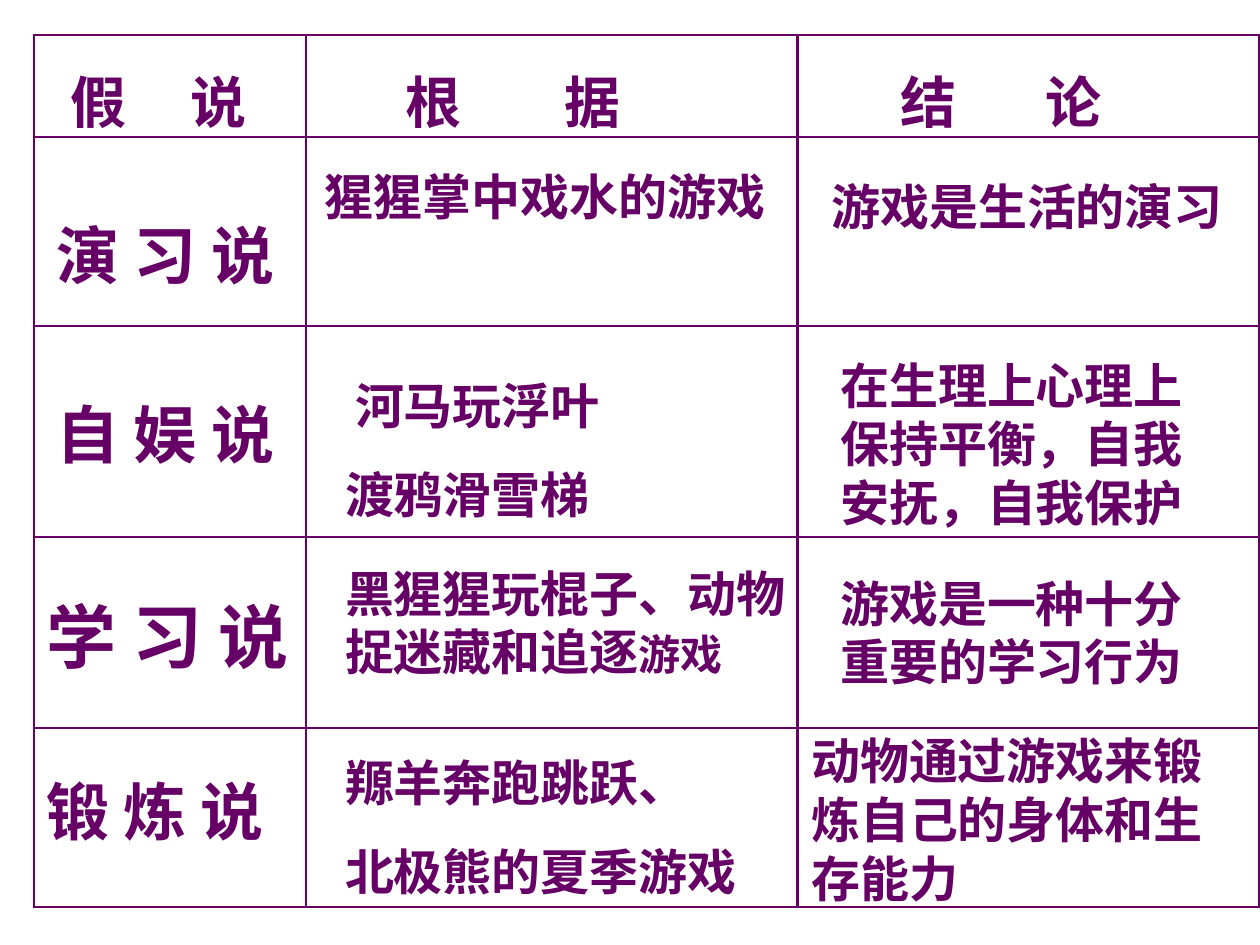
from lxml import etree
from pptx import Presentation
from pptx.dml.color import RGBColor
from pptx.enum.text import MSO_AUTO_SIZE
from pptx.oxml.ns import qn
from pptx.util import Inches, Pt

GROW = MSO_AUTO_SIZE.SHAPE_TO_FIT_TEXT
PLUM = "660066"


def paint(font, size, tint=PLUM):
    font.name = "Arial"
    font.size = Pt(size)
    font.bold = True
    font.color.rgb = RGBColor.from_string(tint)


deck = Presentation()
deck.slide_width = Inches(10)
deck.slide_height = Inches(7.5)
col = deck.slide_width / 100
row = deck.slide_height / 100
slide = deck.slides.add_slide(deck.slide_layouts[6])

wide = [21.6, 39, 36.6]
tall = [10.8, 20, 22.27, 20.27, 18.93]
frame = slide.shapes.add_table(
    len(tall), len(wide), int(2.7 * col), int(3.73 * row),
    int(sum(wide) * col), int(sum(tall) * row))
table = frame.table
table.first_row = False
table.horz_banding = False
for item, size in zip(table.columns, wide):
    item.width = int(size * col)
for item, size in zip(table.rows, tall):
    item.height = int(size * row)
for cell in table.iter_cells():
    cell.fill.background()
    props = cell._tc.get_or_add_tcPr()
    for spot, side in enumerate(["lnL", "lnR", "lnT", "lnB"]):
        line = etree.Element(qn("a:" + side), w=str(Pt(1.47)))
        fill = etree.SubElement(line, qn("a:solidFill"))
        etree.SubElement(fill, qn("a:srgbClr"), val=PLUM)
        props.insert(spot, line)

heads = [
    (2.7, 26.8, 0.19, 1.14, "假\t说"),
    (30.3, 26, 0.09, 1.35, "根\t据"),
    (70.5, 26.8, 0, 1.15, "结\t论"),
]
notes = [
    (3.5, 22.27, 21.3, 9.33, 36, ["演 习 说"]),
    (3.5, 41.2, 22.8, 9.33, 36, ["自 娱 说"]),
    (2.7, 62.13, 25.2, 10.27, 40, ["学 习 说"]),
    (2.7, 81.07, 21.3, 9.33, 36, ["锻 炼 说"]),
    (24.8, 16.93, 38.6, 7.6, 28, ["猩猩掌中戏水的游戏"]),
    (27.2, 39.07, 35.4, 7.6, 28, ["河马玩浮叶"]),
    (26.4, 48.53, 34.7, 7.6, 28, ["渡鸦滑雪梯"]),
    (26.4, 58.93, 37, 13.87, 28, ["黑猩猩玩棍子、动物捉迷藏和追逐"]),
    (26.4, 78.93, 34.6, 17.07, 28, ["羱羊奔跑跳跃、", "北极熊的夏季游戏"]),
    (65, 18, 35, 7.6, 28, ["游戏是生活的演习"]),
    (65.7, 36.93, 31.5, 20, 28, ["在生理上心理上保持平衡，自我安抚，自我保护"]),
    (65.7, 60, 31.5, 13.87, 28, ["游戏是一种十分重要的学习行为"]),
    (63.4, 76.67, 36.6, 20, 28, ["动物通过游戏来锻炼自己的身体和生存能力"]),
]


def write(x, y, w, h, size, lines, pad=0, stop=0):
    box = slide.shapes.add_textbox(
        int(x * col), int(y * row), int(w * col), int(h * row)).text_frame
    box.word_wrap = True
    box.auto_size = GROW
    box.margin_left = Inches(0.1 + pad)
    for spot, text in enumerate(lines):
        para = box.add_paragraph() if spot else box.paragraphs[0]
        if stop:
            tabs = etree.SubElement(para._p.get_or_add_pPr(), qn("a:tabLst"))
            etree.SubElement(tabs, qn("a:tab"), pos=str(Inches(stop - pad)), algn="l")
        if spot:
            para.space_before = Pt(17.5)
        para.add_run().text = text
        paint(para.font, size)
    return para


for x, w, pad, stop, text in heads:
    write(x, 6.53, w, 8.53, 32, [text], pad, stop)
for note in notes:
    para = write(*note)
    if "追逐" in para.text:
        tail = para.add_run()
        tail.text = "游戏"
        tail.font.size = Pt(24)

deck.save("out.pptx")
